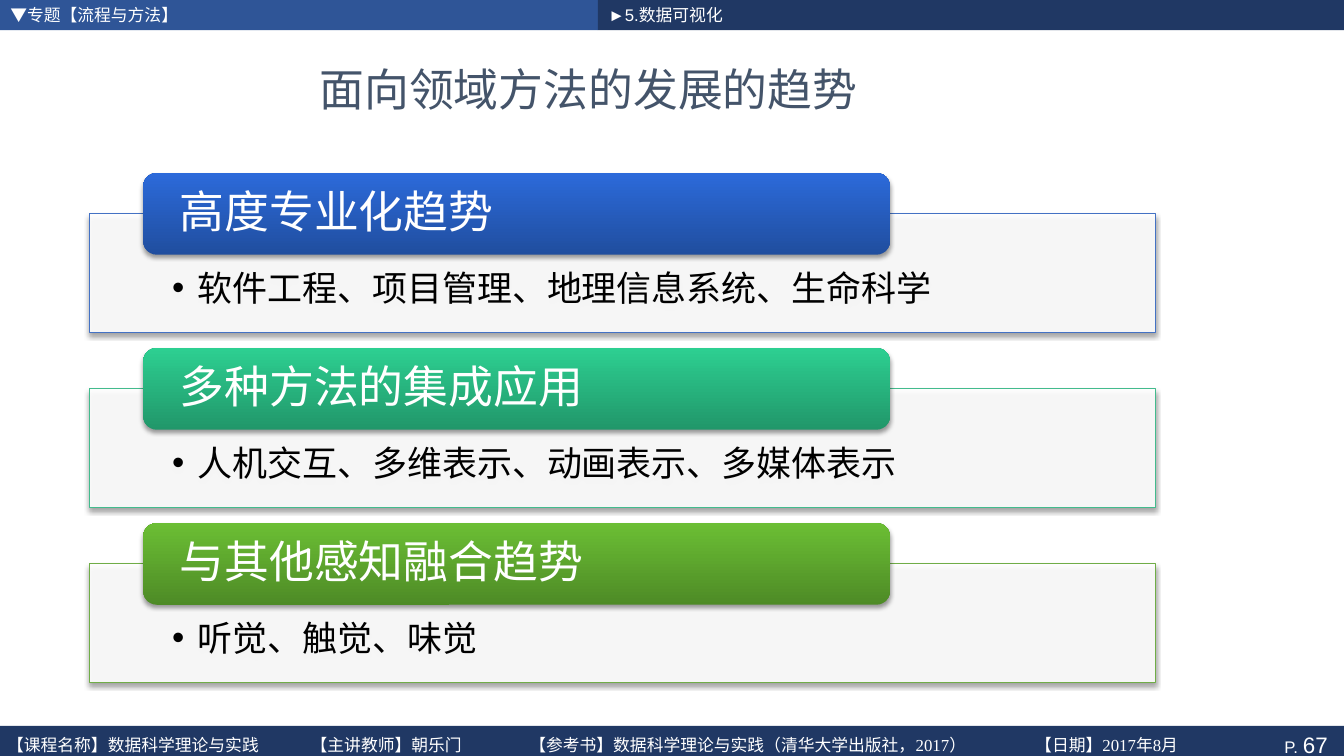
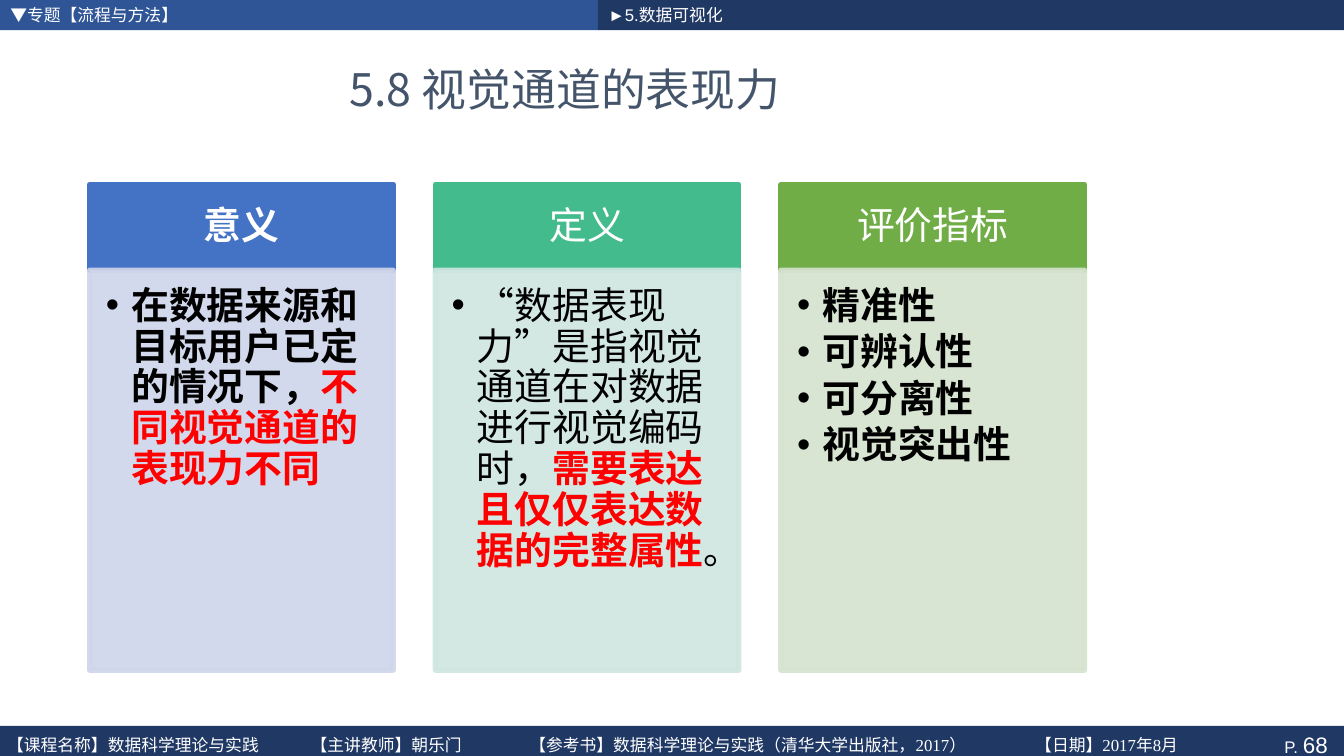
from collections import namedtuple

from lxml import etree
from pptx import Presentation
from pptx.dml.color import RGBColor
from pptx.enum.shapes import MSO_SHAPE
from pptx.enum.text import MSO_ANCHOR, PP_ALIGN
from pptx.oxml.ns import qn
from pptx.util import Cm, Pt

PAGE_WIDTH, PAGE_HEIGHT = 33.87, 19.05
FIRST_PAGE = 67
LATIN, CHINESE, SERIF = "Arial", "Noto Sans CJK SC", "Times New Roman"
WHITE, BLACK, RED = "FFFFFF", "000000", "FF0000"
NAVY, BAND_BLUE, TITLE_GREY = "203864", "2F5597", "44546A"
BLUE, TEAL, GREEN = "4472C4", "43BB8D", "70AD47"

BAND_HEIGHT, BAND_SPLIT, FOOTER_TOP = 0.76, 15.07, 18.29
FOOTER_TABS = (7.65, 13.16, 25.91)
FOOTER = "\t".join((
    "【课程名称】数据科学理论与实践",
    "【主讲教师】朝乐门",
    "【参考书】数据科学理论与实践（清华大学出版社，2017）",
    "【日期】2017年8月",
))

Span = namedtuple("Span", "text color bold size", defaults=(BLACK, False, None))
Trend = namedtuple("Trend", "heading detail line dark light")
Card = namedtuple("Card", "heading heading_bold color tint paragraphs")

TRENDS = (
    Trend("高度专业化趋势", "软件工程、项目管理、地理信息系统、生命科学", BLUE, "204E9F", "2C6ADA"),
    Trend("多种方法的集成应用", "人机交互、多维表示、动画表示、多媒体表示", TEAL, "21976A", "2DCF91"),
    Trend("与其他感知融合趋势", "听觉、触觉、味觉", GREEN, "4E8B26", "6BBE34"),
)
CARDS = (
    Card("意义", True, BLUE, "CFD5EA", [[
        Span("在数据来源和目标用户已定的情况下，", BLACK, True),
        Span("不同视觉通道的表现力不同", RED, True),
    ]]),
    Card("定义", False, TEAL, "CFE6E0", [[
        Span("“数据表现力”是指视觉通道在对数据进行视觉编码时，"),
        Span("需要表达且仅仅表达数据的完整属性", RED, True),
        Span("。"),
    ]]),
    Card("评价指标", False, GREEN, "D5E3CF", [
        [Span(text, BLACK, True)] for text in ("精准性", "可辨认性", "可分离性", "视觉突出性")
    ]),
)


def rgb(color):
    return RGBColor.from_string(color)


def set_opacity(fill_owner, percent):
    """Make the solid colours directly below an XML element partly transparent."""
    for color in fill_owner.findall(f"{qn('a:solidFill')}/{qn('a:srgbClr')}"):
        etree.SubElement(color, qn("a:alpha"), val=str(percent * 1000))


class Slides:
    """Holds the deck, its shared style and the slide being built."""

    def __init__(self):
        self.deck = Presentation()
        self.deck.slide_width = Cm(PAGE_WIDTH)
        self.deck.slide_height = Cm(PAGE_HEIGHT)
        self.page = None

    def start(self, title, title_width):
        self.page = self.deck.slides.add_slide(self.deck.slide_layouts[5])
        self.title(title, title_width)
        self.bands()

    def title(self, text, width):
        box = self.page.shapes.title
        box.left, box.top, box.width, box.height = Cm(1.12), Cm(1.09), Cm(width), Cm(2.29)
        self.put_text(box, [[Span(text, TITLE_GREY)]], 32, font=CHINESE,
                      align=PP_ALIGN.CENTER)

    def bands(self):
        header = (
            (0, BAND_SPLIT, BAND_BLUE, "▼专题【流程与方法】"),
            (BAND_SPLIT, PAGE_WIDTH - BAND_SPLIT, NAVY, "►5.数据可视化"),
        )
        for left, width, color, text in header:
            band = self.block(left, 0, width, BAND_HEIGHT, color)
            self.put_text(band, [[Span(text, WHITE)]], 12, insets=(0.26, 0, 0.26, 0))

        footer = self.block(0, FOOTER_TOP, PAGE_WIDTH, 0.93, NAVY)
        number = FIRST_PAGE + len(self.deck.slides) - 1
        self.put_text(footer, [[Span("P. ", WHITE, size=12), Span(str(number), WHITE)]], 16,
                      insets=(0, 0, 0.41, 0), align=PP_ALIGN.RIGHT)
        course = self.page.shapes.add_textbox(Cm(0), Cm(18.42), Cm(32.4), Cm(0.71))
        self.put_text(course, [[Span(FOOTER, WHITE)]], 12, insets=(0.18, 0, 0, 0),
                      font=SERIF, tabs=FOOTER_TABS)

    def block(self, left, top, width, height, fill, line=None, line_width=0.5,
              kind=MSO_SHAPE.RECTANGLE):
        shape = self.page.shapes.add_shape(kind, Cm(left), Cm(top), Cm(width), Cm(height))
        shape.shadow.inherit = False
        shape.fill.solid()
        shape.fill.fore_color.rgb = rgb(fill)
        if line:
            shape.line.color.rgb = rgb(line)
            shape.line.width = Pt(line_width)
        else:
            shape.line.fill.background()
        return shape

    def shade(self, shape, dark, light):
        """Fill from dark at the bottom to light at the top."""
        shape.fill.gradient()
        shape.fill.gradient_angle = 90
        for stop, color in zip(shape.fill.gradient_stops, (dark, light)):
            stop.color.rgb = rgb(color)

    def drop_shadow(self, shape):
        effects = shape._element.spPr.find(qn("a:effectLst"))
        shadow = etree.SubElement(effects, qn("a:outerShdw"), blurRad="40000", dist="25400",
                                  dir="5400000", rotWithShape="0")
        color = etree.SubElement(shadow, qn("a:srgbClr"), val=BLACK)
        etree.SubElement(color, qn("a:alpha"), val="38000")

    def put_text(self, shape, paragraphs, size, insets=(0.25, 0.13, 0.25, 0.13), font=LATIN,
                 align=PP_ALIGN.LEFT, anchor=MSO_ANCHOR.MIDDLE, spacing=None, bullets=False,
                 tabs=()):
        """Fill a shape with paragraphs, each a list of spans."""
        frame = shape.text_frame
        frame.word_wrap = True
        frame.vertical_anchor = anchor
        (frame.margin_left, frame.margin_top,
         frame.margin_right, frame.margin_bottom) = map(Cm, insets)
        for index, spans in enumerate(paragraphs):
            paragraph = frame.add_paragraph() if index else frame.paragraphs[0]
            paragraph.alignment = align
            paragraph.line_spacing = spacing
            if bullets:
                paragraph.space_after = Pt(4)
                self.bullet(paragraph)
            if tabs:
                self.tab_stops(paragraph, tabs)
            for span in spans:
                self.add_span(paragraph, span, size, font)

    def add_span(self, paragraph, span, size, font):
        run = paragraph.add_run()
        run.text = span.text
        run.font.name = font
        run.font.size = Pt(span.size or size)
        run.font.bold = span.bold
        run.font.color.rgb = rgb(span.color)
        etree.SubElement(run._r.get_or_add_rPr(), qn("a:ea"), typeface=CHINESE)

    def bullet(self, paragraph):
        properties = paragraph._p.get_or_add_pPr()
        indent = Cm(0.64)
        properties.set("marL", str(indent))
        properties.set("indent", str(-indent))
        etree.SubElement(properties, qn("a:buFont"), typeface=LATIN)
        etree.SubElement(properties, qn("a:buChar"), char="•")

    def tab_stops(self, paragraph, positions):
        tab_list = etree.SubElement(paragraph._p.get_or_add_pPr(), qn("a:tabLst"))
        for position in positions:
            etree.SubElement(tab_list, qn("a:tab"), pos=str(Cm(position)), algn="l")

    def trend(self, top, trend):
        panel = self.block(2.26, top, 26.87, 3, WHITE, trend.line)
        set_opacity(panel._element.spPr, 90)
        self.put_text(panel, [[Span(trend.detail)]], 25, insets=(2.08, 1.45, 2.08, 0.48),
                      anchor=MSO_ANCHOR.TOP, spacing=0.9, bullets=True)
        label = self.block(3.61, top - 1.02, 18.82, 2.06, trend.dark,
                           kind=MSO_SHAPE.ROUNDED_RECTANGLE)
        self.shade(label, trend.dark, trend.light)
        self.put_text(label, [[Span(trend.heading, WHITE)]], 32, insets=(0.82, 0, 0.82, 0),
                      spacing=0.9)
        for shape in (panel, label):
            self.drop_shadow(shape)

    def card(self, left, card):
        top, width, heading_height = 4.65, 7.65, 2.16
        heading = self.block(left, top, width, heading_height, card.color, card.color, 3.78)
        self.put_text(heading, [[Span(card.heading, WHITE, card.heading_bold)]], 27,
                      insets=(0.53, 0.3, 0.53, 0.3), align=PP_ALIGN.CENTER, spacing=0.9)
        body = self.block(left, top + heading_height, width, 10.08, card.tint, card.tint, 3.78)
        properties = body._element.spPr
        set_opacity(properties, 90)
        set_opacity(properties.find(qn("a:ln")), 90)
        self.put_text(body, card.paragraphs, 27, insets=(0.41, 0.41, 0.53, 0.61),
                      anchor=MSO_ANCHOR.TOP, spacing=0.9, bullets=True)


def main():
    slides = Slides()

    slides.start("面向领域方法的发展的趋势", 27.43)
    for row, trend in enumerate(TRENDS):
        slides.trend(5.38 + row * 4.41, trend)

    slides.start("5.8 视觉通道的表现力", 26.24)
    for column, card in enumerate(CARDS):
        slides.card(2.26 + column * 8.71, card)

    slides.deck.save("out.pptx")


if __name__ == "__main__":
    main()
